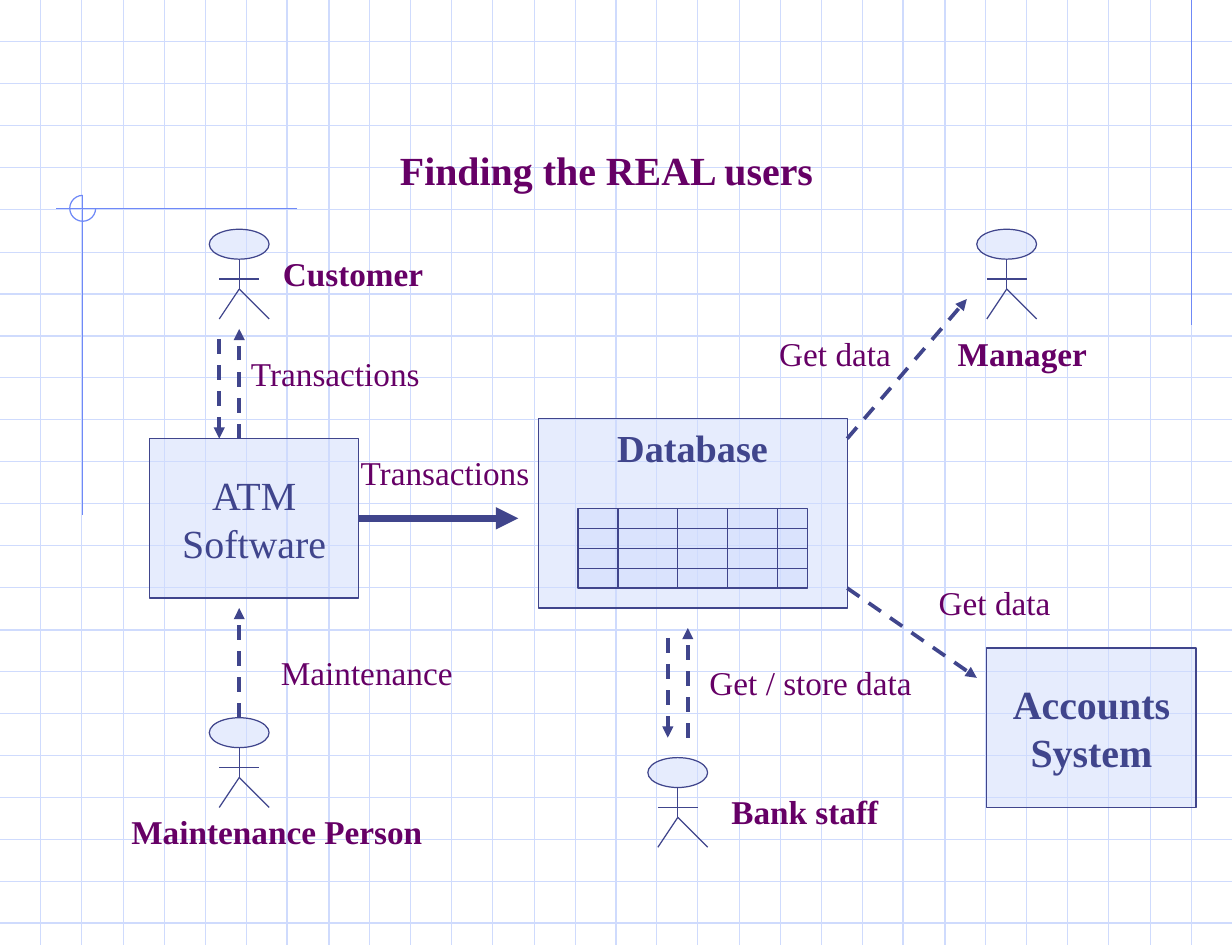
from lxml import etree
from pptx import Presentation
from pptx import util as u
from pptx.dml.color import RGBColor
from pptx.enum import dml, shapes, text
from pptx.oxml import ns

PX = 7620  # EMU per px, 120 px to the inch
WIDTH, HEIGHT = 1236, 948
FONT = "Times New Roman"
COLORS = {
    "grid": "CFDBFD",
    "ornament": "6F89F7",
    "ink": "40458C",
    "panel": "CFDBFD",
    "label": "660066",
}


def px(*lengths):
    return [u.Emu(round(length) * PX) for length in lengths]


def color(name):
    return RGBColor.from_string(COLORS[name])


def add_line(slide, start, end, tone="ink", weight=0.75, dashed=False, arrow=False):
    line = slide.shapes.add_connector(
        shapes.MSO_CONNECTOR.STRAIGHT, *px(*start, *end))
    line.line.color.rgb = color(tone)
    line.line.width = u.Pt(weight)
    properties = line.element.spPr
    if dashed:
        line.line.dash_style = dml.MSO_LINE.DASH
    if arrow:
        etree.SubElement(properties.find(ns.qn("a:ln")), ns.qn("a:tailEnd"), type="triangle")
    etree.SubElement(properties, ns.qn("a:effectLst"))


def add_panel(slide, box, kind=shapes.MSO_SHAPE.RECTANGLE):
    panel = slide.shapes.add_shape(kind, *px(*box))
    panel.shadow.inherit = False
    panel.fill.solid()
    panel.fill.fore_color.rgb = color("panel")
    tint = panel.element.spPr.find(ns.qn("a:solidFill"))[0]
    etree.SubElement(tint, ns.qn("a:alpha"), val="50000")
    panel.line.color.rgb = color("ink")
    panel.line.width = u.Pt(0.75)
    return panel


def write(shape, words, size, tone, bold, align, anchor, wrap=True):
    frame = shape.text_frame
    frame.text = words
    frame.word_wrap = wrap
    frame.auto_size = text.MSO_AUTO_SIZE.NONE
    frame.vertical_anchor = anchor
    for paragraph in frame.paragraphs:
        paragraph.alignment = align
        for run in paragraph.runs:
            run.font.name = FONT
            run.font.size = u.Pt(size)
            run.font.bold = bold
            run.font.color.rgb = color(tone)


def add_label(slide, box, words, bold=False):
    label = slide.shapes.add_textbox(*px(*box))
    write(label, words, 20, "label", bold, text.PP_ALIGN.LEFT, text.MSO_ANCHOR.BOTTOM)


def add_backdrop(slide, left, top, width, height):
    # Squared paper
    for row in range(1, 23):
        y = top + row * 42.1
        add_line(slide, (left, y), (left + width, y), "grid")
    for column in range(1, 30):
        x = left + column * width / 30
        add_line(slide, (x, top), (x, top + height), "grid")

    # Margin rules with their corner arc
    corner_x, corner_y, radius = left + 83, top + 209, 13
    add_line(slide, (left + 1195, top), (left + 1195, top + 326), "ornament")
    add_line(slide, (left + 298, corner_y), (left + 56, corner_y), "ornament")
    add_line(slide, (corner_x, corner_y - radius), (corner_x, top + 517), "ornament")
    arc = slide.shapes.add_shape(
        shapes.MSO_SHAPE.ARC,
        *px(corner_x - radius, corner_y - radius, 2 * radius, 2 * radius))
    arc.shadow.inherit = False
    arc.adjustments[0] = 0
    arc.adjustments[1] = 162  # 270 degrees
    arc.fill.background()
    arc.line.color.rgb = color("ornament")
    arc.line.width = u.Pt(0.75)


def add_title(slide, box, words):
    title = slide.shapes.title
    title.left, title.top, title.width, title.height = px(*box)
    write(title, words, 24, "label", True, text.PP_ALIGN.CENTER, text.MSO_ANCHOR.BOTTOM)
    title.element.getparent().append(title.element)  # in front of the grid


def add_user(slide, left, top, name, name_offset, name_width):
    add_panel(slide, (left, top, 60, 30), shapes.MSO_SHAPE.FLOWCHART_CONNECTOR)
    limbs = [
        ((30, 60), (10, 90)),  # legs
        ((30, 60), (60, 90)),
        ((10, 50), (50, 50)),  # arms
        ((30, 30), (30, 60)),  # body
    ]
    for (x1, y1), (x2, y2) in limbs:
        add_line(slide, (left + x1, top + y1), (left + x2, top + y2))
    dx, dy = name_offset
    add_label(slide, (left + dx, top + dy, name_width, 40), name, bold=True)


def add_system(slide, box, name, bold):
    write(add_panel(slide, box), name, 24, "ink", bold,
          text.PP_ALIGN.CENTER, text.MSO_ANCHOR.MIDDLE, wrap=False)


def add_database(slide, left, top, width, height):
    write(add_panel(slide, (left, top, width, height)), "Database", 23, "ink", True,
          text.PP_ALIGN.CENTER, text.MSO_ANCHOR.TOP, wrap=False)

    # Records pictogram
    records_x, records_y, records_w, records_h = left + 40, top + 90, 230, 80
    add_panel(slide, (records_x, records_y, records_w, records_h))
    for row in range(1, 4):
        y = records_y + row * 20
        add_line(slide, (records_x, y), (records_x + records_w, y))
    for column in (40, 100, 150, 200):
        x = records_x + column
        add_line(slide, (x, records_y), (x, records_y + records_h))


def add_flow(slide, words, label_box, arrows):
    for start, end in arrows:
        add_line(slide, start, end, weight=2.25, dashed=True, arrow=True)
    add_label(slide, label_box, words)


USERS = [
    (210, 230, "Customer", (62, 30), 187),
    (210, 720, "Maintenance Person", (-90, 100), 367),
    (980, 230, "Manager", (-31, 110), 170),
    (650, 760, "Bank staff", (72, 40), 187),
]
FLOWS = [
    ("Maintenance", (270, 660, 238, 40), [((240, 720), (240, 610))]),
    ("Transactions", (240, 360, 238, 40),
     [((240, 440), (240, 330)), ((220, 340), (220, 440))]),
    ("Get / store data", (700, 670, 238, 40),
     [((690, 740), (690, 630)), ((670, 640), (670, 740))]),
    ("Get data", (770, 340, 170, 40), [((850, 440), (970, 300))]),
    ("Get data", (930, 590, 170, 40), [((850, 590), (980, 680))]),
]


def main():
    deck = Presentation()
    deck.slide_width, deck.slide_height = px(WIDTH, HEIGHT)
    slide = deck.slides.add_slide(deck.slide_layouts[5])

    add_backdrop(slide, 0, 0, WIDTH, HEIGHT)
    add_title(slide, (83, 120, 1051, 80), "Finding the REAL users")

    # People and systems
    for user in USERS:
        add_user(slide, *user)
    add_system(slide, (150, 440, 210, 160), "ATM\nSoftware", bold=False)
    add_database(slide, 540, 420, 310, 190)
    add_system(slide, (990, 650, 210, 160), "Accounts\nSystem", bold=True)

    # Data flows
    add_line(slide, (360, 520), (520, 520), weight=4.5, arrow=True)
    add_label(slide, (350, 460, 238, 40), "Transactions")
    for flow in FLOWS:
        add_flow(slide, *flow)

    deck.save("out.pptx")


if __name__ == "__main__":
    main()
